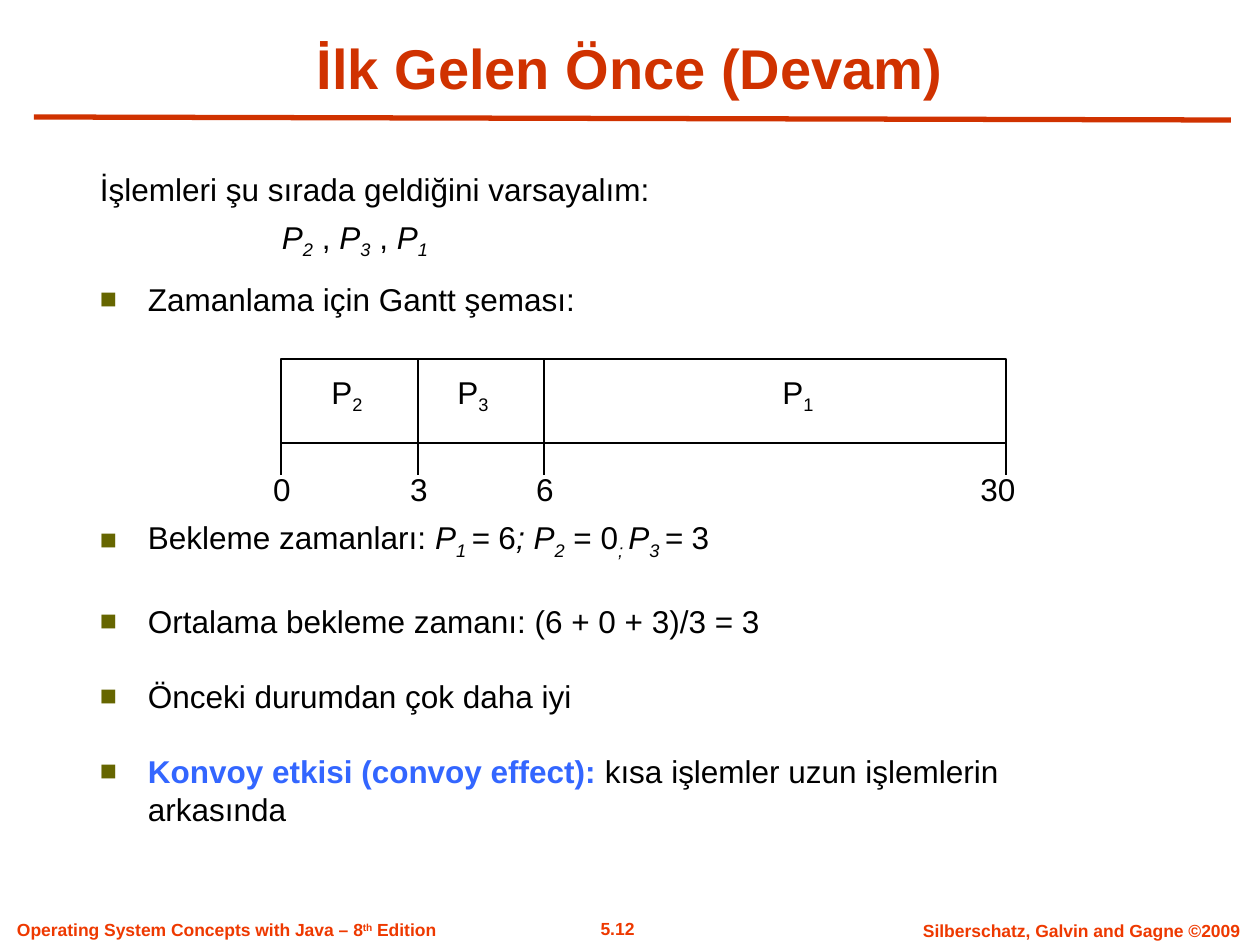
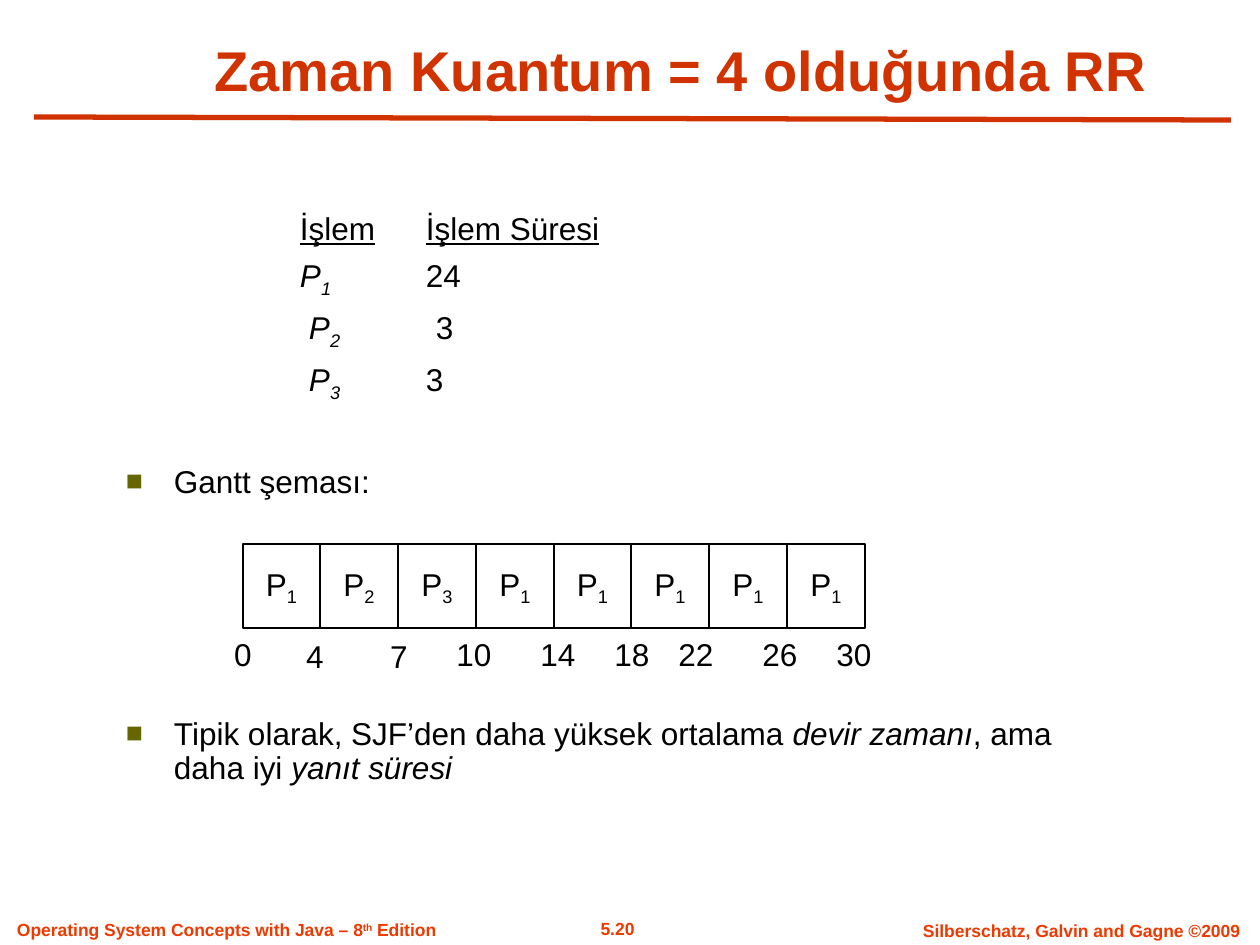
from lxml import etree
from pptx import Presentation
from pptx.dml.color import RGBColor
from pptx.enum.shapes import MSO_CONNECTOR, MSO_SHAPE
from pptx.enum.text import MSO_ANCHOR, PP_ALIGN
from pptx.oxml.ns import qn
from pptx.util import Pt

PX = 7257
FONT = "Arial"
BLACK, WHITE = "000000", "FFFFFF"
TITLE_RED, FOOTER_RED = "D03200", "EE3900"
OLIVE, BLUE = "666600", "3366FF"
LEFT, CENTER = PP_ALIGN.LEFT, PP_ALIGN.CENTER
TOP, MIDDLE, BOTTOM = MSO_ANCHOR.TOP, MSO_ANCHOR.MIDDLE, MSO_ANCHOR.BOTTOM
RECTANGLE, STRAIGHT = MSO_SHAPE.RECTANGLE, MSO_CONNECTOR.STRAIGHT
BASELINES = {"s": "-25000", "^": "30000"}
HANGING = 48


def put(page, area, paragraphs, size=18, color=BLACK, align=CENTER,
        anchor=MIDDLE, wrap=False, leading=None, outlined=False):
    place = [length * PX for length in area]
    if outlined:
        box = page.shapes.add_shape(RECTANGLE, *place)
        box.shadow.inherit = False
        box.fill.solid()
        box.fill.fore_color.rgb = RGBColor.from_string(WHITE)
        box.line.color.rgb = RGBColor.from_string(BLACK)
        box.line.width = Pt(0.75)
    else:
        box = page.shapes.add_textbox(*place)
    frame = box.text_frame
    frame.margin_left = frame.margin_right = 0
    frame.margin_top = frame.margin_bottom = 0
    frame.vertical_anchor = anchor
    frame.word_wrap = wrap
    for index, (before, spans) in enumerate(paragraphs):
        para = frame.add_paragraph() if index else frame.paragraphs[0]
        para.alignment = align
        if leading:
            para.line_spacing = Pt(leading)
        if before:
            para.space_before = before * PX
        for text, style in spans:
            span = para.add_run()
            span.text = text
            span.font.name = FONT
            span.font.size = Pt(size)
            span.font.bold = "b" in style
            span.font.italic = "i" in style
            span.font.underline = "u" in style
            span.font.color.rgb = RGBColor.from_string(BLUE if "k" in style else color)
            for mark, baseline in BASELINES.items():
                if mark in style:
                    span.font._element.set("baseline", baseline)
    return frame.paragraphs


def draw_line(page, start, end, color=BLACK, width=0.75):
    line = page.shapes.add_connector(STRAIGHT, *[length * PX for length in start + end])
    line.line.color.rgb = RGBColor.from_string(color)
    line.line.width = Pt(width)
    etree.SubElement(line._element.spPr, qn("a:effectLst"))


deck = Presentation()
deck.slide_width = 1260 * PX
deck.slide_height = 945 * PX

pages = []
for number, title, title_area in [
    ("5.12", "İlk Gelen Önce (Devam)", (63, 22, 1134, 79)),
    ("5.20", "Zaman Kuantum = 4 olduğunda RR", (126, 5, 1110, 98)),
]:
    page = deck.slides.add_slide(deck.slide_layouts[6])
    pages.append(page)
    draw_line(page, (34, 117), (1231, 120), TITLE_RED, 3)
    put(page, title_area, [(0, [(title, "b")])], 32, TITLE_RED, anchor=BOTTOM)
    edition = [("Operating System Concepts with Java – 8", "b"), ("th", "b^"), (" Edition", "b")]
    for area, align, spans in [
        ((17, 919, 430, 22), LEFT, edition),
        ((556, 918, 123, 22), CENTER, [(number, "b")]),
        ((907, 920, 349, 22), CENTER, [("Silberschatz, Galvin and Gagne ©2009", "b")]),
    ]:
        put(page, area, [(0, spans)], 10, FOOTER_RED, align, TOP)

first_come, round_robin = pages

arrival_text = put(first_come, (100, 170, 1020, 670), [
    (0, [("İşlemleri şu sırada geldiğini varsayalım:", "")]),
    (15, [("P", "i"), ("2", "is"), (" , ", ""), ("P", "i"), ("3", "is"),
          (" , ", ""), ("P", "i"), ("1", "is")]),
    (19, [("Zamanlama için Gantt şeması:", "")]),
    (206, [("Bekleme zamanları: ", ""), ("P", "i"), ("1 ", "is"), ("=", "i"), (" 6", ""),
           ("; P", "i"), ("2", "is"), (" = 0", ""), ("; ", "is"), ("P", "i"),
           ("3 ", "is"), ("= ", "i"), ("3", "")]),
    (41, [("Ortalama bekleme zamanı: (6 + 0 + 3)/3 = 3", "")]),
    (37, [("Önceki durumdan çok daha iyi", "")]),
    (37, [("Konvoy etkisi (convoy effect): ", "bk"),
          ("kısa işlemler uzun işlemlerin arkasında", "")]),
], align=LEFT, anchor=TOP, wrap=True, leading=21.6)
arrival_text[1]._p.get_or_add_pPr().set("marL", str(182 * PX))

burst_rows = put(round_robin, (280, 213, 500, 200), [
    (0, [("\t", ""), ("İşlem", "u"), ("\t", ""), ("İşlem Süresi", "u")]),
    (18, [("\tP", "i"), ("1", "is"), ("\t24", "")]),
    (18, [("\tP", "i"), ("2", "is"), ("\t3", "")]),
    (18, [("\tP", "i"), ("3", "is"), ("\t3", "")]),
], align=LEFT, anchor=TOP, wrap=True, leading=19.4)
for para, stops in zip(burst_rows, [(20, 146), (20, 146), (29, 156), (29, 146)]):
    tabs = etree.SubElement(para._p.get_or_add_pPr(), qn("a:tabLst"))
    for stop in stops:
        etree.SubElement(tabs, qn("a:tab"), pos=str(stop * PX), algn="l")

quantum_text = put(round_robin, (126, 466, 987, 330), [
    (0, [("Gantt şeması:", "")]),
    (218, [("Tipik olarak, SJF’den daha yüksek ortalama ", ""), ("devir zamanı", "i"),
           (", ama daha iyi ", ""), ("yanıt süresi", "i")]),
], align=LEFT, anchor=TOP, wrap=True, leading=19.4)

for para in arrival_text[2:] + quantum_text:
    properties = para._p.get_or_add_pPr()
    properties.set("marL", str(HANGING * PX))
    properties.set("indent", str(-HANGING * PX))
    bullet_color = etree.SubElement(properties, qn("a:buClr"))
    etree.SubElement(bullet_color, qn("a:srgbClr"), val=OLIVE)
    etree.SubElement(properties, qn("a:buSzPct"), val="90000")
    etree.SubElement(properties, qn("a:buFont"), typeface=FONT)
    etree.SubElement(properties, qn("a:buChar"), char="■")

put(first_come, (281, 359, 725, 84), [(0, [])], outlined=True)
for tick, tick_top in [(281, 443), (418, 359), (544, 359), (1006, 443)]:
    draw_line(first_come, (tick, tick_top), (tick, 475))
for process, center in [("2", 347), ("3", 473), ("1", 798)]:
    put(first_come, (center - 28, 366, 56, 56), [(0, [("P", ""), (process, "s")])])
for time, center in [("0", 282), ("3", 419), ("6", 545), ("30", 998)]:
    put(first_come, (center - 30, 464, 60, 50), [(0, [(time, "")])])

for index, process in enumerate("12311111"):
    left, right = 243 + 622 * index // 8, 243 + 622 * (index + 1) // 8
    put(round_robin, (left, 544, right - left, 84), [(0, [("P", ""), (process, "s")])],
        outlined=True)
for time, center, middle in [
    ("0", 243, 654), ("4", 315, 656), ("7", 399, 656), ("10", 474, 654), ("14", 558, 654),
    ("18", 632, 654), ("22", 696, 654), ("26", 780, 654), ("30", 854, 654),
]:
    put(round_robin, (center - 30, middle - 25, 60, 50), [(0, [(time, "")])])

deck.save("out.pptx")
